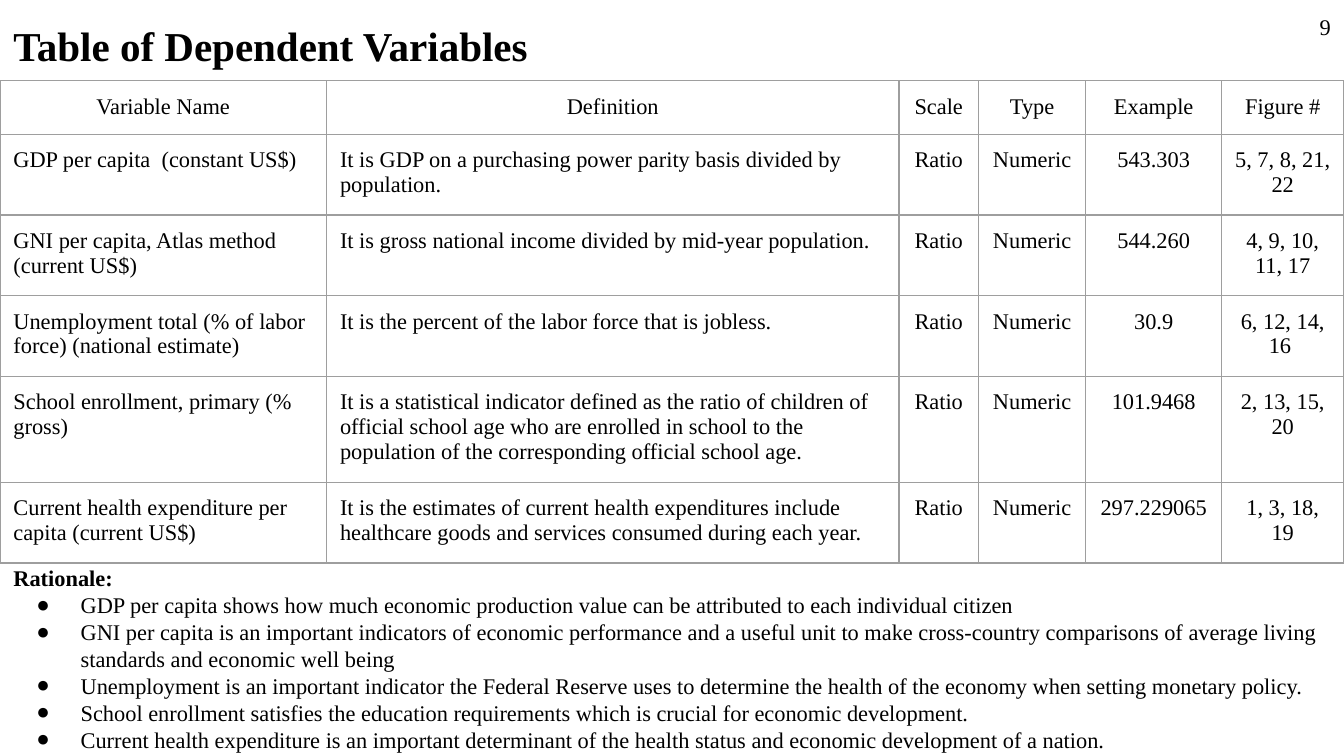
from pptx import Presentation
from pptx.dml.color import RGBColor
from pptx.enum.text import MSO_ANCHOR, MSO_AUTO_SIZE, PP_ALIGN
from pptx.oxml import parse_xml
from pptx.oxml.ns import nsdecls
from pptx.util import Inches, Pt

BLACK = RGBColor(0, 0, 0)
GREY = RGBColor(0x9E, 0x9E, 0x9E)
FONT = "Times New Roman"
PAD = Inches(0.1)

TITLE = "Table of Dependent Variables"
PAGE = "9"
HEAD = ["Variable Name", "Definition", "Scale", "Type", "Example", "Figure #"]
ROWS = [
    ("GDP per capita  (constant US$)",
     "It is GDP on a purchasing power parity basis divided by population.",
     "543.303", "5, 7, 8, 21, 22"),
    ("GNI per capita, Atlas method (current US$)",
     "It is gross national income divided by mid-year population.",
     "544.260", "4, 9, 10, 11, 17"),
    ("Unemployment total (% of labor force) (national estimate)",
     "It is the percent of the labor force that is jobless.",
     "30.9", "6, 12, 14, 16 "),
    ("School enrollment, primary (% gross)",
     "It is a statistical indicator defined as the ratio of children of official "
     "school age who are enrolled in school to the population of the "
     "corresponding official school age.",
     "101.9468", "2, 13, 15, 20"),
    ("Current health expenditure per capita (current US$)",
     "It is the estimates of current health expenditures include healthcare goods "
     "and services consumed during each year.",
     "297.229065", "1, 3, 18, 19"),
]
WIDTHS = [2.43, 4.26, 0.59, 0.8, 1.01, 0.91]
HEIGHTS = [0.4, 0.6, 0.6, 0.6, 0.79, 0.6]
REASONS = [
    "GDP per capita shows how much economic production value can be attributed to "
    "each individual citizen",
    "GNI per capita is an important indicators of economic performance and a useful "
    "unit to make cross-country comparisons of average living standards and "
    "economic well being",
    "Unemployment is an important indicator the Federal Reserve uses to determine "
    "the health of the economy when setting monetary policy.",
    "School enrollment satisfies the education requirements which is crucial for "
    "economic development.",
    "Current health expenditure is an important determinant of the health status "
    "and economic development of a nation.",
]


def write(para, text, size=12, bold=False, align=PP_ALIGN.LEFT, space=1.0,
          before=0, bullet=False):
    para.alignment = align
    para.line_spacing = space
    para.space_before = Pt(before)
    props = para._p.get_or_add_pPr()
    props.set("marL", str(Inches(0.5) if bullet else 0))
    props.set("indent", str(Inches(-0.33) if bullet else 0))
    if bullet:
        props.append(parse_xml(
            f'<a:buClr {nsdecls("a")}><a:srgbClr val="{BLACK}"/></a:buClr>'))
        props.append(parse_xml(f'<a:buFont {nsdecls("a")} typeface="{FONT}"/>'))
        props.append(parse_xml(f'<a:buChar {nsdecls("a")} char="●"/>'))
    else:
        props.append(parse_xml(f'<a:buNone {nsdecls("a")}/>'))
    run = para.add_run()
    run.text = text
    font = run.font
    font.name, font.size, font.bold = FONT, Pt(size), bold
    font.color.rgb = BLACK


def place(shape, left, top, width, height):
    shape.left, shape.top = Inches(left), Inches(top)
    shape.width, shape.height = Inches(width), Inches(height)
    frame = shape.text_frame
    frame.word_wrap = True
    frame.auto_size = MSO_AUTO_SIZE.NONE
    frame.vertical_anchor = MSO_ANCHOR.TOP
    frame.margin_left = frame.margin_right = PAD
    frame.margin_top = frame.margin_bottom = PAD
    return frame


def edge(cell):
    props = cell._tc.get_or_add_tcPr()
    for side in "LRTB":
        props.append(parse_xml(
            f'<a:ln{side} {nsdecls("a")} w="{Pt(0.75)}"><a:solidFill>'
            f'<a:srgbClr val="{GREY}"/></a:solidFill></a:ln{side}>'))
    cell.fill.background()


def build():
    deck = Presentation()
    deck.slide_width = Inches(10)
    deck.slide_height = deck.slide_width * 9 // 16
    slide = deck.slides.add_slide(deck.slide_layouts[1])
    title, body = slide.placeholders

    frame = place(title, 0, 0, 9.32, 0.63)
    write(frame.paragraphs[0], TITLE, size=22, bold=True, space=1.15, before=12)

    number = slide.shapes.add_textbox(0, 0, 0, 0)
    frame = place(number, 9.4, 0, 0.6, 0.43)
    write(frame.paragraphs[0], PAGE, align=PP_ALIGN.RIGHT)

    grid = [HEAD] + [(name, text, "Ratio", "Numeric", value, figs)
                     for name, text, value, figs in ROWS]
    table = slide.shapes.add_table(
        len(grid), len(HEAD), 0, Inches(0.6),
        Inches(sum(WIDTHS)), Inches(sum(HEIGHTS))).table
    table.first_row = table.horz_banding = False
    for col, width in zip(table.columns, WIDTHS):
        col.width = Inches(width)
    for r, (row, height) in enumerate(zip(grid, HEIGHTS)):
        table.rows[r].height = Inches(height)
        for c, text in enumerate(row):
            cell = table.cell(r, c)
            cell.margin_left = cell.margin_right = PAD
            cell.margin_top = cell.margin_bottom = PAD
            edge(cell)
            left = r > 0 and c < 2
            write(cell.text_frame.paragraphs[0], text,
                  align=PP_ALIGN.LEFT if left else PP_ALIGN.CENTER)

    frame = place(body, 0, 4.1, 10, 1.62)
    write(frame.paragraphs[0], "Rationale:", bold=True)
    for text in REASONS:
        write(frame.add_paragraph(), text, bullet=True)

    deck.save("out.pptx")


if __name__ == "__main__":
    build()
